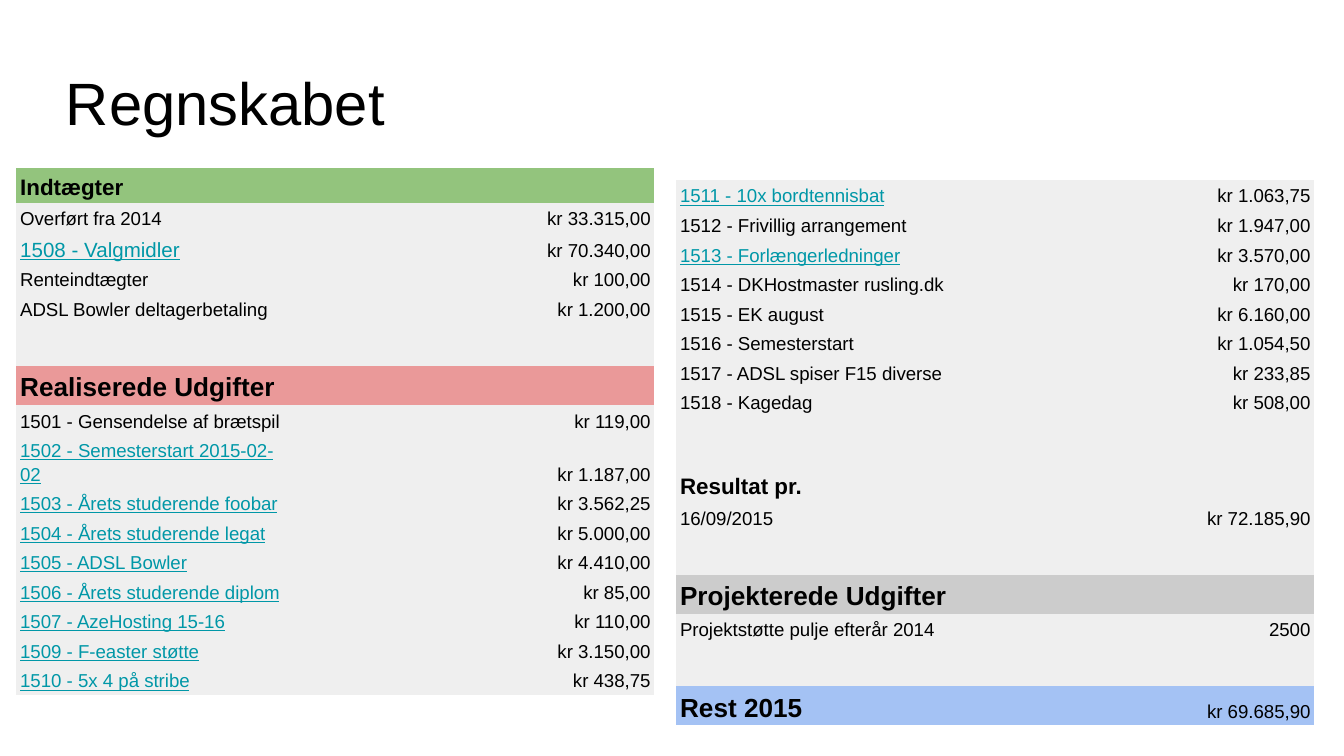
from pptx import Presentation, util as u
from pptx.dml.color import RGBColor
from pptx.enum import text as t

COLORS = {"ink": "000000", "link": "0097A7", "plain": "EFEFEF", "income": "93C47D",
          "spent": "EA9999", "planned": "CCCCCC", "rest": "A4C2F4"}
NO_STYLE = "{2D5ABB26-0587-4C30-8999-92F81FD0307C}"
COLUMNS = (2.04, 2.71)

# Row kinds: fill, label size, label bold, label colour, label spans both columns, height
KINDS = {
    "item": ("plain", 10, False, "ink", False, 0.22),
    "link": ("plain", 10, False, "link", False, 0.22),
    "big link": ("plain", 11, False, "link", False, 0.22),
    "gap": ("plain", 10, False, "ink", False, 0.32),
    "result": ("plain", 12, True, "ink", False, 0.32),
    "income": ("income", 12, True, "ink", True, 0.26),
    "spent": ("spent", 14, True, "ink", True, 0.29),
    "planned": ("planned", 14, True, "ink", True, 0.29),
    "rest": ("rest", 14, True, "ink", False, 0.29),
}
GAP = ("gap", "", "")
REALISED = [
    ("income", "Indtægter", ""),
    ("item", "Overført fra 2014", "kr 33.315,00"),
    ("big link", "1508 - Valgmidler", "kr 70.340,00"),
    ("item", "Renteindtægter", "kr 100,00"),
    ("item", "ADSL Bowler deltagerbetaling", "kr 1.200,00"),
    GAP,
    ("spent", "Realiserede Udgifter", ""),
    ("item", "1501 - Gensendelse af brætspil", "kr 119,00"),
    ("link", "1502 - Semesterstart 2015-02-02", "kr 1.187,00"),
    ("link", "1503 - Årets studerende foobar", "kr 3.562,25"),
    ("link", "1504 - Årets studerende legat", "kr 5.000,00"),
    ("link", "1505 - ADSL Bowler", "kr 4.410,00"),
    ("link", "1506 - Årets studerende diplom", "kr 85,00"),
    ("link", "1507 - AzeHosting 15-16", "kr 110,00"),
    ("link", "1509 - F-easter støtte", "kr 3.150,00"),
    ("link", "1510 - 5x 4 på stribe", "kr 438,75"),
]
CONTINUED = [
    ("link", "1511 - 10x bordtennisbat", "kr 1.063,75"),
    ("item", "1512 - Frivillig arrangement", "kr 1.947,00"),
    ("link", "1513 - Forlængerledninger", "kr 3.570,00"),
    ("item", "1514 - DKHostmaster rusling.dk", "kr 170,00"),
    ("item", "1515 - EK august", "kr 6.160,00"),
    ("item", "1516 - Semesterstart", "kr 1.054,50"),
    ("item", "1517 - ADSL spiser F15 diverse", "kr 233,85"),
    ("item", "1518 - Kagedag", "kr 508,00"),
    GAP,
    ("result", "Resultat pr.", ""),
    ("item", "16/09/2015", "kr 72.185,90"),
    GAP,
    ("planned", "Projekterede Udgifter", ""),
    ("item", "Projektstøtte pulje efterår 2014", "2500"),
    GAP,
    ("rest", "Rest 2015", "kr 69.685,90"),
]


def style(paragraph, size, bold=False, color="ink", align=t.PP_ALIGN.LEFT, spacing=1.15):
    paragraph.alignment = align
    paragraph.line_spacing = spacing
    font = paragraph.font
    font.name, font.size, font.bold = "Arial", u.Pt(size), bold
    font.underline = color == "link"
    font.color.rgb = RGBColor.from_string(COLORS[color])


def fill_cell(cell, fill, content, **look):
    cell.fill.solid()
    cell.fill.fore_color.rgb = RGBColor.from_string(COLORS[fill])
    cell.vertical_anchor = t.MSO_ANCHOR.BOTTOM
    cell.margin_left = cell.margin_right = u.Inches(0.03)
    # An empty cell must not stretch its row
    cell.margin_top = cell.margin_bottom = u.Inches(0.02 if content else 0)
    if content:
        cell.text = content
        style(cell.text_frame.paragraphs[0], **look)


def add_ledger(page, left, top, entries):
    heights = [KINDS[kind][-1] for kind, _, _ in entries]
    frame = page.shapes.add_table(len(entries), len(COLUMNS), u.Inches(left), u.Inches(top),
                                  u.Inches(sum(COLUMNS)), u.Inches(sum(heights)))
    table = frame.table
    table.first_row = table.horz_banding = False
    table._tbl.tblPr[0].text = NO_STYLE
    for column, width in zip(table.columns, COLUMNS):
        column.width = u.Inches(width)
    for i, (kind, label, amount) in enumerate(entries):
        fill, size, bold, color, spans, height = KINDS[kind]
        table.rows[i].height = u.Inches(height)
        name, value = table.cell(i, 0), table.cell(i, 1)
        if spans:
            name.merge(value)
        fill_cell(name, fill, label, size=size, bold=bold, color=color)
        fill_cell(value, fill, amount, size=10, align=t.PP_ALIGN.RIGHT)


# A 16:9 page
deck = Presentation()
deck.slide_width = u.Inches(10)
deck.slide_height = deck.slide_width * 9 // 16
page = deck.slides.add_slide(deck.slide_layouts[5])

# Title
title = page.shapes.title
title.left, title.top = u.Inches(0.39), u.Inches(0.39)
title.width, title.height = u.Inches(4.21), u.Inches(0.66)
box = title.text_frame
box.text = "Regnskabet"
box.auto_size = t.MSO_AUTO_SIZE.NONE
box.vertical_anchor = t.MSO_ANCHOR.TOP
box.margin_left = box.margin_right = box.margin_top = box.margin_bottom = u.Inches(0.1)
style(box.paragraphs[0], 32, spacing=1.0)

# Accounts in two halves
add_ledger(page, 0.12, 1.25, REALISED)
add_ledger(page, 5.03, 1.34, CONTINUED)

deck.save("out.pptx")
